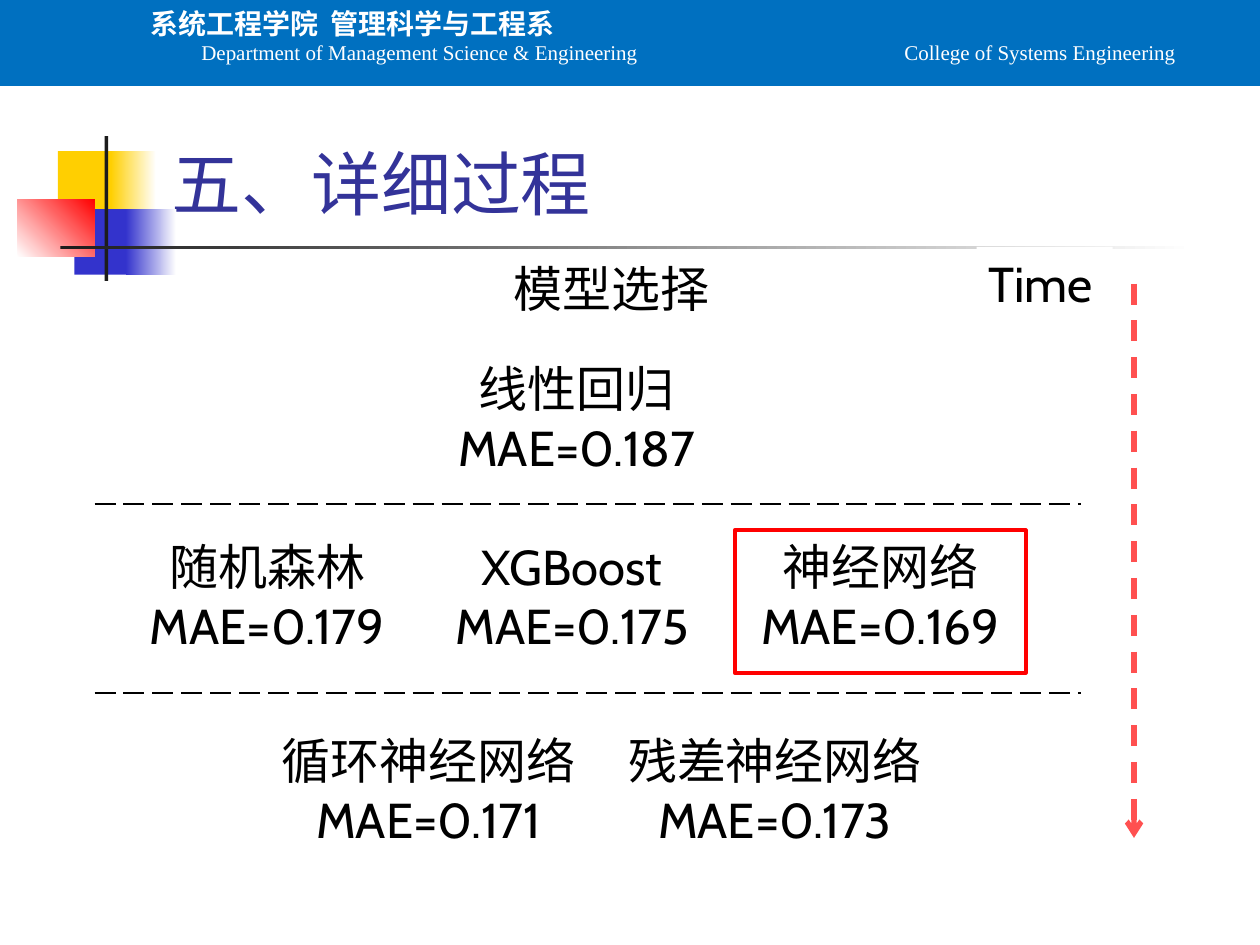
from dataclasses import dataclass

from lxml import etree
from pptx import Presentation
from pptx.dml.color import RGBColor
from pptx.enum.dml import MSO_LINE
from pptx.enum.shapes import MSO_CONNECTOR, MSO_SHAPE
from pptx.enum.text import MSO_ANCHOR, MSO_AUTO_SIZE, PP_ALIGN
from pptx.oxml.ns import qn
from pptx.util import Emu, Pt

RECT = MSO_SHAPE.RECTANGLE
STRAIGHT = MSO_CONNECTOR.STRAIGHT
DASH, LONG = MSO_LINE.DASH, MSO_LINE.LONG_DASH
TOP, BOTTOM = MSO_ANCHOR.TOP, MSO_ANCHOR.BOTTOM
LEFT, CENTER = PP_ALIGN.LEFT, PP_ALIGN.CENTER
GROW, FIXED = MSO_AUTO_SIZE.SHAPE_TO_FIT_TEXT, MSO_AUTO_SIZE.NONE
SCALE = 9144  # EMU per px, 100 px to the inch


@dataclass(frozen=True)
class Theme:
    white: str = "FFFFFF"
    black: str = "000000"
    ink: str = "1C1C1C"
    band: str = "0070C0"
    title: str = "333399"
    gold: str = "FFCF01"
    blue: str = "3333CC"
    red: str = "FF0000"
    arrow: str = "FF5050"
    latin: str = "Cabin"
    han: str = "Noto Sans CJK SC"
    serif: str = "Times New Roman"
    big: int = 40
    body: int = 28
    head: int = 16
    small: int = 12


THEME = Theme()


def px(*values):
    return [Emu(value * SCALE) for value in values]


def rgb(color):
    return RGBColor.from_string(color)


def style(par, size, color, face, bold=False, align=LEFT):
    par.alignment = align
    for run in par.runs:
        font = run.font
        font.size, font.bold, font.name = Pt(size), bold, face
        font.color.rgb = rgb(color)
        east = etree.SubElement(font._element, qn("a:ea"))
        east.set("typeface", THEME.han)


def block(slide, box, fill=None, line=None, width=1):
    """Rectangle with a plain fill, a (from, to, angle) blend, or no fill."""
    shape = slide.shapes.add_shape(RECT, *px(*box))
    shape.shadow.inherit = False
    if fill is None:
        shape.fill.background()
    elif isinstance(fill, tuple):
        shape.fill.gradient()
        shape.fill.gradient_angle = fill[2]
        for stop, color in zip(shape.fill.gradient_stops, fill):
            stop.color.rgb = rgb(color)
    else:
        shape.fill.solid()
        shape.fill.fore_color.rgb = rgb(fill)
    if line:
        shape.line.color.rgb = rgb(line)
        shape.line.width = Pt(width)
    else:
        shape.line.fill.background()
    return shape


def label(slide, box, text, face=THEME.latin, align=CENTER):
    frame = block(slide, box, THEME.white).text_frame
    frame.text = text
    frame.word_wrap = True
    frame.auto_size = GROW
    frame.vertical_anchor = TOP
    for par in frame.paragraphs:
        style(par, THEME.body, THEME.black, face, align=align)


def rule(slide, ends, color, width, dash, arrow=False):
    line = slide.shapes.add_connector(STRAIGHT, *px(*ends))
    line.line.color.rgb = rgb(color)
    line.line.width = Pt(width)
    line.line.dash_style = dash
    if arrow:
        tail = etree.SubElement(line.line._get_or_add_ln(), qn("a:tailEnd"))
        tail.set("type", "arrow")
    etree.SubElement(line._element.spPr, qn("a:effectLst"))


def motif(slide):
    t = THEME
    for box, fill in (
        ((46, 120, 48, 52), t.gold),
        ((88, 120, 36, 52), (t.gold, t.white, 0)),
        ((59, 166, 46, 52), t.blue),
        ((100, 166, 40, 52), (t.blue, t.white, 0)),
        ((14, 158, 61, 46), (t.white, t.red, 45)),
        ((83, 108, 3, 115), t.ink),
        ((48, 195, 900, 3), (t.ink, t.white, 0)),
    ):
        block(slide, box, fill)


def header(slide):
    block(slide, (0, 0, 1000, 67), THEME.band, THEME.band, 2)
    frame = slide.shapes.add_textbox(*px(110, 0, 890, 64)).text_frame
    frame.word_wrap = True
    frame.text = ("系统工程学院  管理科学与工程系\n"
                  "\tDepartment of Management Science & Engineering"
                  "\tCollege of Systems Engineering")
    first, second = frame.paragraphs
    style(first, THEME.head, THEME.white, THEME.han, bold=True)
    style(second, THEME.small, THEME.white, THEME.serif)
    # Tab stops place the two English names
    tabs = etree.SubElement(second._p.get_or_add_pPr(), qn("a:tabLst"))
    for stop in px(40, 598):
        tab = etree.SubElement(tabs, qn("a:tab"))
        tab.set("pos", str(stop))
        tab.set("algn", "l")


def heading(slide, text):
    title = slide.shapes.title
    title.left, title.top, title.width, title.height = px(126, 108, 852, 75)
    frame = title.text_frame
    frame.text = text
    frame.auto_size = FIXED
    frame.vertical_anchor = BOTTOM
    style(frame.paragraphs[0], THEME.big, THEME.title, THEME.latin)


def models(slide):
    # Each stage: top, then left, width, name and error of its models
    stages = (
        (280, ((345, 225, "线性回归", "0.187"),)),
        (421, ((99, 226, "随机森林", "0.179"),
               (342, 224, "XGBoost", "0.175"),
               (583, 231, "神经网络", "0.169"))),
        (575, ((211, 258, "循环神经网络", "0.171"),
               (486, 258, "残差神经网络", "0.173"))),
    )
    for top, row in stages:
        for left, width, name, error in row:
            label(slide, (left, top, width, 104), f"{name}\nMAE={error}")
    # Best model
    block(slide, (583, 421, 231, 113), None, THEME.red, 2.25)


def main():
    deck = Presentation()
    deck.slide_width, deck.slide_height = px(1000, 750)
    slide = deck.slides.add_slide(deck.slide_layouts[5])

    # Frame of the page
    motif(slide)
    header(slide)
    heading(slide, "五、详细过程")

    # Model stages
    label(slide, (398, 200, 183, 57), "模型选择", THEME.han, LEFT)
    models(slide)
    for y in (400, 550):
        rule(slide, (75, y, 858, y), THEME.black, 1.5, LONG)

    # Time axis
    label(slide, (775, 196, 108, 57), "Time", align=LEFT)
    rule(slide, (900, 225, 900, 665), THEME.arrow, 3, DASH, arrow=True)
    deck.save("out.pptx")


if __name__ == "__main__":
    main()
